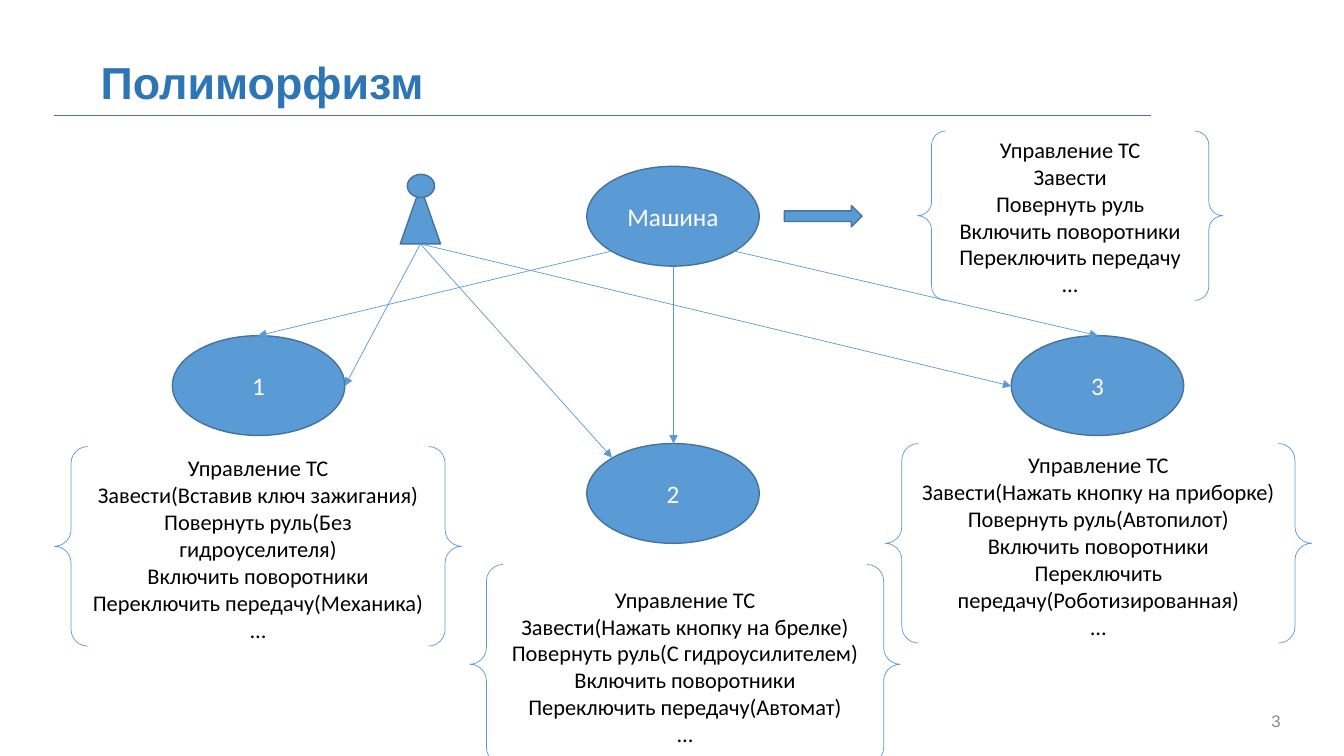
"""Slide on polymorphism: one car concept, three cars and their controls."""
from lxml import etree
from pptx import Presentation, util as u
from pptx.dml.color import RGBColor
from pptx.enum import shapes, text
from pptx.oxml.ns import qn

PX = u.Inches(1) // 100
COLORS = {
    "title": "2E75B6", "rule": "4472C4", "number": "8C8C8C",
    "fill": "5B9BD5", "edge": "43739E", "label": "FFFFFF", "body": "000000",
}
SHAPE = shapes.MSO_SHAPE
ALIGN = text.PP_ALIGN


class Board:
    """Holds the style and the current slide."""

    def __init__(self, width, height):
        self.deck = Presentation()
        self.deck.slide_width, self.deck.slide_height = width * PX, height * PX
        self.slide = self.deck.slides.add_slide(self.deck.slide_layouts[6])
        self.shapes = self.slide.shapes

    def color(self, name):
        return RGBColor.from_string(COLORS[name])

    def set_lines(self, frame, lines, size, color, font="Calibri", align=ALIGN.CENTER, bold=False):
        frame.word_wrap = True
        frame.vertical_anchor = text.MSO_ANCHOR.MIDDLE
        for index, line in enumerate(lines):
            paragraph = frame.paragraphs[0] if index == 0 else frame.add_paragraph()
            paragraph.text = line
            paragraph.alignment = align
            paragraph.font.name = font
            paragraph.font.size = u.Pt(size)
            paragraph.font.bold = bold
            paragraph.font.color.rgb = self.color(color)

    def label(self, box, words, size, color, **style):
        frame = self.shapes.add_textbox(*(n * PX for n in box)).text_frame
        self.set_lines(frame, [words], size, color, font="Arial", **style)

    def solid(self, kind, box, words=None):
        shape = self.shapes.add_shape(kind, *(n * PX for n in box))
        shape.shadow.inherit = False
        shape.fill.solid()
        shape.fill.fore_color.rgb = self.color("fill")
        shape.line.color.rgb = self.color("edge")
        shape.line.width = u.Pt(1)
        if words:
            self.set_lines(shape.text_frame, [words], 18, "label")
        return shape

    def car(self, left, top, words):
        self.solid(SHAPE.OVAL, (left, top, 171, 99), words)

    def braces(self, box, lines):
        shape = self.shapes.add_shape(SHAPE.DOUBLE_BRACE, *(n * PX for n in box))
        shape.shadow.inherit = False
        shape.fill.background()
        shape.line.color.rgb = self.color("fill")
        shape.line.width = u.Pt(0.5)
        shape.text_frame.margin_bottom = 17 * PX
        self.set_lines(shape.text_frame, ["Управление ТС", *lines, "…"], 16, "body")

    def line(self, start, end, color="fill", arrow=True):
        connector = self.shapes.add_connector(
            shapes.MSO_CONNECTOR.STRAIGHT, *(n * PX for n in (*start, *end)))
        connector.line.color.rgb = self.color(color)
        connector.line.width = u.Pt(0.5)
        properties = connector._element.spPr
        if arrow:
            outline = properties.find(qn("a:ln"))
            etree.SubElement(outline, qn("a:tailEnd"), type="triangle")
        etree.SubElement(properties, qn("a:effectLst"))

    def person(self):
        body = self.solid(SHAPE.ISOSCELES_TRIANGLE, (397, 185, 40, 57))
        head = self.solid(SHAPE.FLOWCHART_CONNECTOR, (404, 173, 27, 23))
        self.shapes.add_group_shape([body, head])


def main():
    board = Board(1333, 750)
    board.label((90, 53, 845, 55), "Полиморфизм", 32, "title", align=ALIGN.LEFT, bold=True)
    board.line((54, 114), (1142, 114), "rule", arrow=False)
    board.label((1150, 695, 130, 40), "3", 12, "number", align=ALIGN.RIGHT)

    cars = [(582, 165, "Машина"), (171, 333, "1"), (582, 440, "2"), (1003, 333, "3")]
    for car in cars:
        board.car(*car)
    board.solid(SHAPE.RIGHT_ARROW, (778, 204, 77, 21))

    controls = [
        ((910, 130, 303, 168),
         ["Завести", "Повернуть руль", "Включить поворотники", "Переключить передачу"]),
        ((54, 443, 404, 198),
         ["Завести(Вставив ключ зажигания)", "Повернуть руль(Без гидроуселителя)",
          "Включить поворотники", "Переключить передачу(Механика)"]),
        ((466, 560, 427, 198),
         ["Завести(Нажать кнопку на брелке)", "Повернуть руль(С гидроусилителем)",
          "Включить поворотники", "Переключить передачу(Автомат)"]),
        ((878, 440, 423, 198),
         ["Завести(Нажать кнопку на приборке)", "Повернуть руль(Автопилот)",
          "Включить поворотники", "Переключить передачу(Роботизированная)"]),
    ]
    for box, lines in controls:
        board.braces(box, lines)

    board.person()
    inheritance = [((607, 249), (256, 333)), ((668, 264), (668, 440)), ((728, 249), (1089, 333))]
    driving = [((417, 242), end) for end in ((607, 454), (342, 383), (1003, 383))]
    for start, end in inheritance + driving:
        board.line(start, end)
    board.deck.save("out.pptx")


if __name__ == "__main__":
    main()
